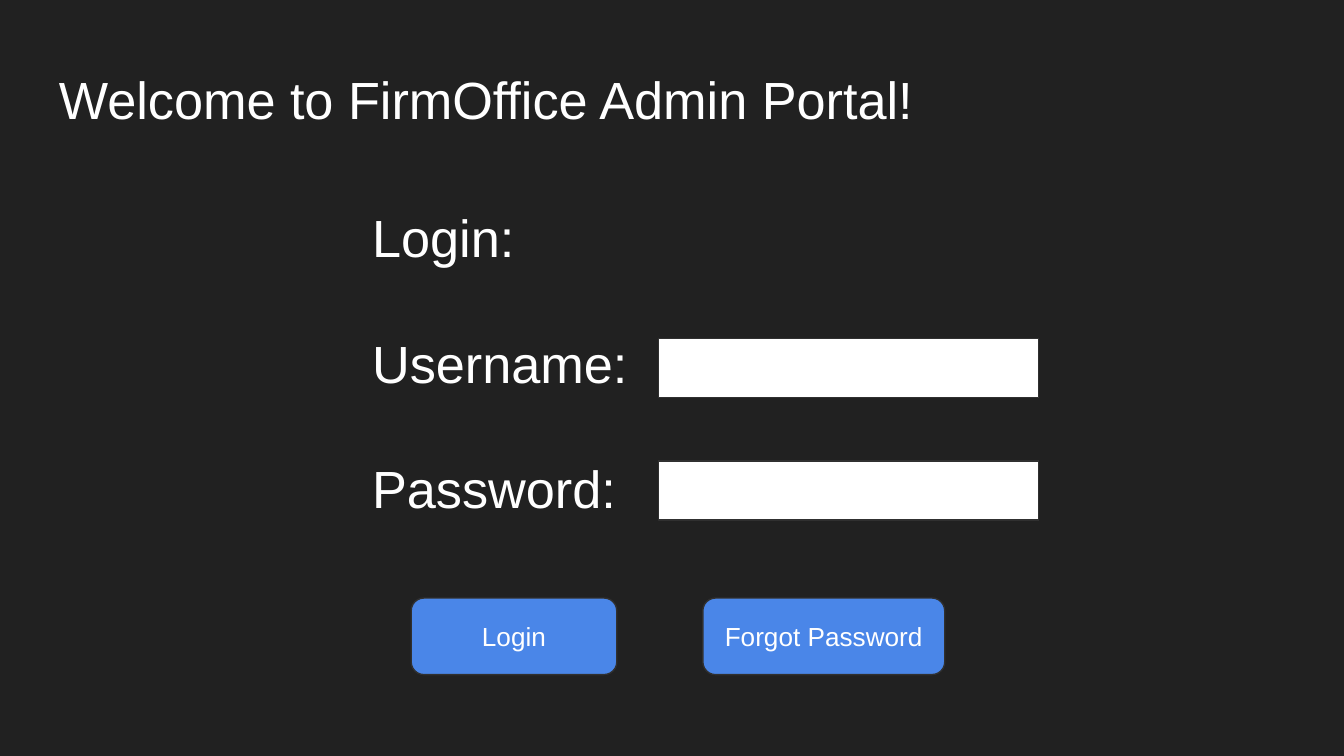
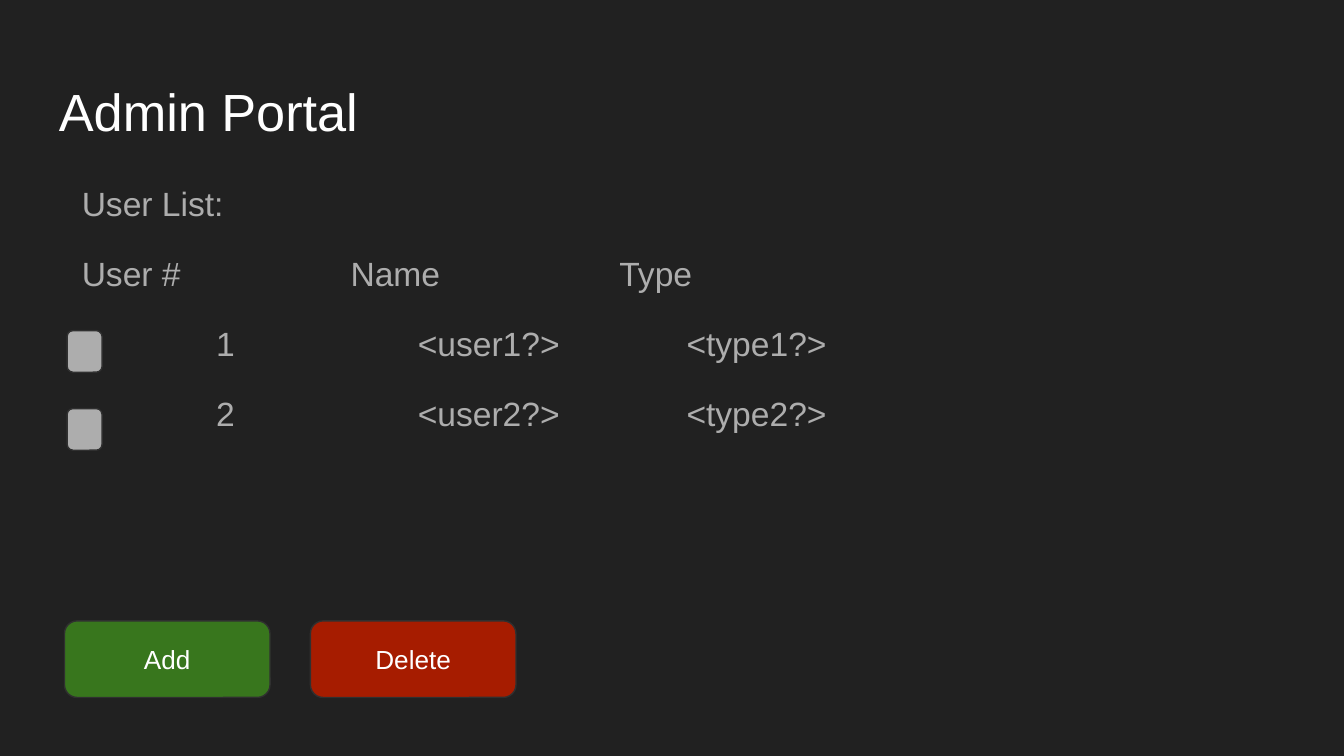
import pptx
import pptx.util
import pptx.dml.color
import pptx.enum.shapes
import pptx.enum.text

Inches = pptx.util.Inches
Pt = pptx.util.Pt
RGB = pptx.dml.color.RGBColor
KIND = pptx.enum.shapes.MSO_SHAPE
ALIGN = pptx.enum.text.PP_ALIGN
ANCHOR = pptx.enum.text.MSO_ANCHOR

DARK = RGB(0x21, 0x21, 0x21)
EDGE = RGB(0x30, 0x30, 0x30)
WHITE = RGB(0xFF, 0xFF, 0xFF)
GREY = RGB(0xAD, 0xAD, 0xAD)
BLUE = RGB(0x4A, 0x86, 0xE8)
GREEN = RGB(0x38, 0x76, 0x1D)
RED = RGB(0xA6, 0x1C, 0x00)
FONT = "Arial"


def write(para, text, size, color):
    run = para.add_run()
    run.text = text
    run.font.name = FONT
    run.font.size = Pt(size)
    run.font.color.rgb = color


def pad(frame):
    frame.word_wrap = True
    frame.margin_left = frame.margin_right = Inches(0.1)
    frame.margin_top = frame.margin_bottom = Inches(0.1)


def add_text(slide, box, lines, size, color, before=0, after=0):
    """Add a text box with one paragraph a line and return its paragraphs."""
    frame = slide.shapes.add_textbox(*map(Inches, box)).text_frame
    pad(frame)
    for i, line in enumerate(lines):
        para = frame.add_paragraph() if i else frame.paragraphs[0]
        para.space_before = Pt(before if i else 0)
        para.space_after = Pt(after)
        write(para, line, size, color)
    return frame.paragraphs


def add_box(slide, kind, box, fill):
    shape = slide.shapes.add_shape(kind, *map(Inches, box))
    shape.shadow.inherit = False
    shape.fill.solid()
    shape.fill.fore_color.rgb = fill
    shape.line.color.rgb = EDGE
    shape.line.width = Pt(0.75)
    return shape


def add_button(slide, left, top, label, fill, width=1.53):
    box = (left, top, width, 0.57)
    frame = add_box(slide, KIND.ROUNDED_RECTANGLE, box, fill).text_frame
    pad(frame)
    frame.vertical_anchor = ANCHOR.MIDDLE
    para = frame.paragraphs[0]
    para.alignment = ALIGN.CENTER
    write(para, label, 14, WHITE)


def add_page(deck, title, top):
    """Add a dark slide with its title."""
    slide = deck.slides.add_slide(deck.slide_layouts[6])
    slide.background.fill.solid()
    slide.background.fill.fore_color.rgb = DARK
    add_text(slide, (0.34, top, 9.32, 0.63), [title], 28, WHITE)
    return slide


def add_form(slide, left, top):
    labels = ["Login:", "Username:", "Password:"]
    add_text(slide, (left, top, 4.51, 2.79), labels, 28, WHITE, before=33.5)
    for row in range(2):
        field = (left + 2.23, top + 1.09 + row * 0.91, 2.83, 0.44)
        add_box(slide, KIND.RECTANGLE, field, WHITE)
    add_button(slide, left + 0.39, top + 3.02, "Login", BLUE)
    add_button(slide, left + 2.56, top + 3.02, "Forgot Password", BLUE, 1.8)


def add_users(slide, left, top):
    heads = ["User List:", "User #\t\tName\t\tType"]
    users = [f"{n}\t\t<user{n}?>\t<type{n}?>" for n in (1, 2)]
    paras = add_text(slide, (left, top, 9.32, 3.74), heads + users,
                     18, GREY, after=16)
    for para in paras:
        para._p.get_or_add_pPr().set("defTabSz", str(Inches(1)))
    for para in paras[len(heads):]:
        props = para._p.get_or_add_pPr()
        props.set("marL", str(Inches(0.5)))
        props.set("indent", str(Inches(0.5)))
    for row in range(len(users)):
        check = (left - 0.01, top + 1.2 + row * 0.58, 0.26, 0.31)
        add_box(slide, KIND.ROUNDED_RECTANGLE, check, GREY)


def add_tools(slide, left, top):
    for i, (label, fill) in enumerate([("Add", GREEN), ("Delete", RED)]):
        add_button(slide, left + i * 1.83, top, label, fill)


def main():
    deck = pptx.Presentation()
    deck.slide_width = Inches(10)
    deck.slide_height = deck.slide_width * 9 // 16
    login = add_page(deck, "Welcome to FirmOffice Admin Portal!", 0.4)
    add_form(login, 2.67, 1.43)
    admin = add_page(deck, "Admin Portal", 0.49)
    add_users(admin, 0.51, 1.26)
    add_tools(admin, 0.48, 4.62)
    deck.save("out.pptx")


if __name__ == "__main__":
    main()
